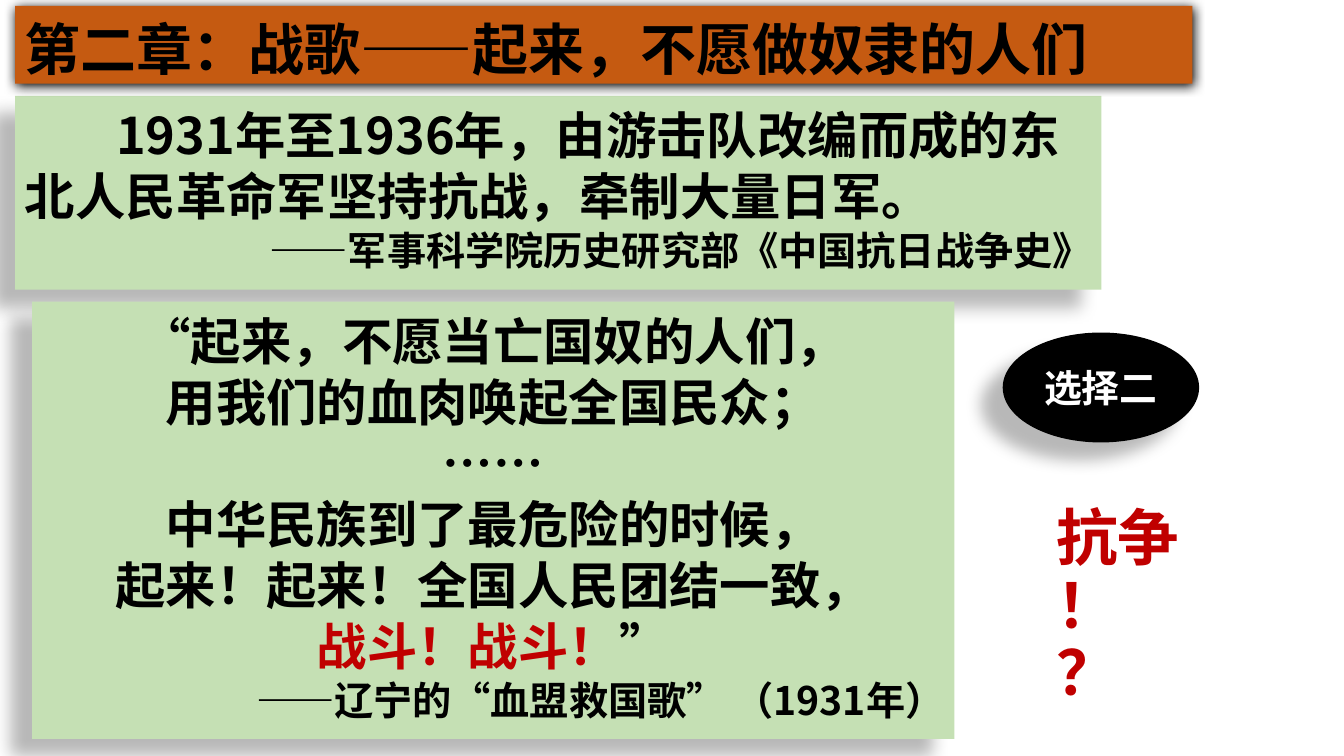
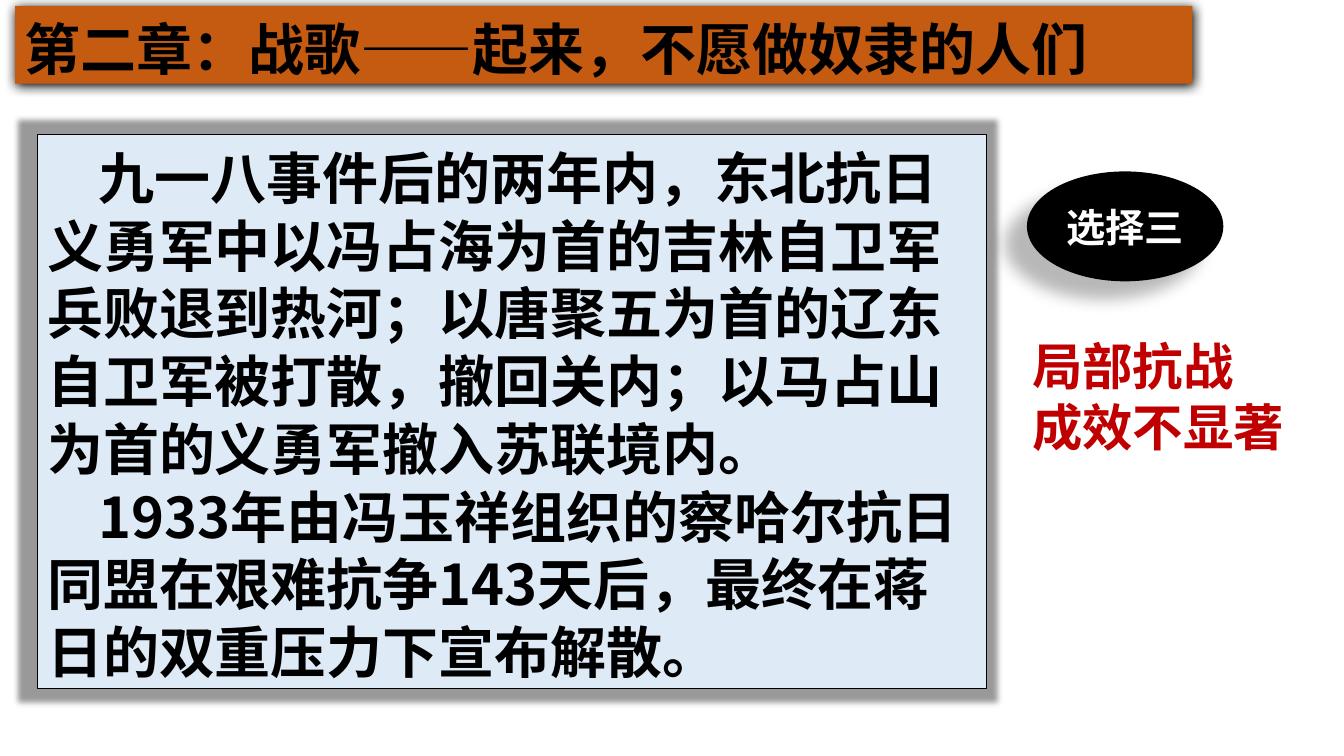
import pptx
import pptx.dml.color
import pptx.enum.shapes
import pptx.enum.text
import pptx.oxml
import pptx.oxml.ns
import pptx.util
from pptx.util import Cm

BLACK = pptx.dml.color.RGBColor(0x00, 0x00, 0x00)
WHITE = pptx.dml.color.RGBColor(0xFF, 0xFF, 0xFF)
RED = pptx.dml.color.RGBColor(0xC0, 0x00, 0x00)
ORANGE = pptx.dml.color.RGBColor(0xC5, 0x5A, 0x11)
GREEN = pptx.dml.color.RGBColor(0xC5, 0xE0, 0xB4)
PALE_BLUE = pptx.dml.color.RGBColor(0xDE, 0xEB, 0xF7)

FONT_SC = "Noto Sans CJK SC"
FONT_JP = "Noto Sans CJK JP"
RECTANGLE = pptx.enum.shapes.MSO_SHAPE.RECTANGLE
OVAL = pptx.enum.shapes.MSO_SHAPE.OVAL
CENTER = pptx.enum.text.PP_ALIGN.CENTER
RIGHT = pptx.enum.text.PP_ALIGN.RIGHT
TOP = pptx.enum.text.MSO_ANCHOR.TOP
MIDDLE = pptx.enum.text.MSO_ANCHOR.MIDDLE

# Blur and distance in points, direction in degrees, opacity and scales in percent
CAST_SHADOW = dict(blur=11.8, distance=19.7, direction=141, opacity=28)
TITLE_SHADOW = dict(blur=8.5, distance=1, direction=90, opacity=100)
FRAME_SHADOW = dict(blur=4, distance=3, direction=180, opacity=40,
                    scale_x=103, scale_y=105)


def add_panel(slide, left, top, width, height, kind=RECTANGLE, fill=None,
              line=None, shadow=None, anchor=TOP, wrap=True):
    """Add a shape, measured in centimetres, and return its text frame."""
    shape = slide.shapes.add_shape(kind, Cm(left), Cm(top), Cm(width), Cm(height))
    shape.shadow.inherit = False
    if fill is None:
        shape.fill.background()
    else:
        shape.fill.solid()
        shape.fill.fore_color.rgb = fill
    if line is None:
        shape.line.fill.background()
    else:
        shape.line.color.rgb = line
        shape.line.width = pptx.util.Pt(0.75)
    if shadow:
        effects = shape._element.spPr.find(pptx.oxml.ns.qn("a:effectLst"))
        effects.append(pptx.oxml.parse_xml(
            f'<a:outerShdw {pptx.oxml.ns.nsdecls("a")}'
            f' blurRad="{pptx.util.Pt(shadow["blur"])}"'
            f' dist="{pptx.util.Pt(shadow["distance"])}"'
            f' dir="{shadow["direction"] * 60000}"'
            f' sx="{shadow.get("scale_x", 100) * 1000}"'
            f' sy="{shadow.get("scale_y", 100) * 1000}"'
            f' algn="ctr" rotWithShape="0"><a:srgbClr val="{BLACK}">'
            f'<a:alpha val="{shadow["opacity"] * 1000}"/>'
            '</a:srgbClr></a:outerShdw>'))
    frame = shape.text_frame
    frame.word_wrap = wrap
    frame.vertical_anchor = anchor
    frame.margin_top = Cm(0.2 if anchor == TOP else 0.13)
    return frame


def add_text(frame, *texts, size=36, font=FONT_SC, colors=(BLACK,),
             align=pptx.enum.text.PP_ALIGN.LEFT, indent=0, leading=1.21):
    """Add one paragraph, with one run for each text and its color."""
    paragraph = frame.paragraphs[0]
    if paragraph.runs:
        paragraph = frame.add_paragraph()
    paragraph.alignment = align
    paragraph.line_spacing = pptx.util.Pt(round(size * leading, 1))
    if indent:
        paragraph._p.get_or_add_pPr().set("indent", str(Cm(indent)))
    for text, color in zip(texts, colors):
        run = paragraph.add_run()
        run.text = text
        run.font.size = pptx.util.Pt(size)
        run.font.bold = True
        run.font.color.rgb = color
        run.font.name = font
        properties = run.font._element
        properties.set("lang", "zh-CN")
        latin = properties.find(pptx.oxml.ns.qn("a:latin"))
        latin.addnext(pptx.oxml.parse_xml(
            f'<a:ea {pptx.oxml.ns.nsdecls("a")} typeface="{font}"/>'))


presentation = pptx.Presentation()
presentation.slide_width = Cm(33.87)
presentation.slide_height = Cm(19.05)
blank = presentation.slide_layouts[6]
resistance_slide = presentation.slides.add_slide(blank)
outcome_slide = presentation.slides.add_slide(blank)

# Slide 1: history, song and the second choice
history = add_panel(resistance_slide, 0.38, 2.42, 27.38, 4.88,
                    fill=GREEN, shadow=CAST_SHADOW)
add_text(history, "1931年至1936年，由游击队改编而成的东北人民革命军坚持抗战，牵制大量日军。",
         font=FONT_JP, indent=2.3)
add_text(history, "——军事科学院历史研究部《中国抗日战争史》",
         size=28, font=FONT_JP, align=RIGHT)

song = add_panel(resistance_slide, 0.81, 7.6, 23.24, 11.02,
                 fill=GREEN, shadow=CAST_SHADOW)
for verse in ("“起来，不愿当亡国奴的人们，", "用我们的血肉唤起全国民众；", "……",
              "中华民族到了最危险的时候，", "起来！起来！全国人民团结一致，"):
    add_text(song, verse, font=FONT_JP, align=CENTER)
add_text(song, "战斗！战斗！", "”", colors=(RED, BLACK), font=FONT_JP, align=CENTER)
add_text(song, "——辽宁的“血盟救国歌” （1931年）", size=28, font=FONT_JP, align=RIGHT)

struggle = add_panel(resistance_slide, 26.37, 12.55, 5.56, 5.33)
for word in ("抗争", "！", "？"):
    add_text(struggle, word, size=44, colors=(RED,), leading=1.09)

# Slide 2: outcome and the third choice
outcome = add_panel(outcome_slide, 0.94, 3.4, 23.93, 13.94,
                    fill=PALE_BLUE, line=BLACK, shadow=FRAME_SHADOW)
for text in ("九一八事件后的两年内，东北抗日义勇军中以冯占海为首的吉林自卫军兵败退到热河；"
             "以唐聚五为首的辽东自卫军被打散，撤回关内；以马占山为首的义勇军撤入苏联境内。",
             "1933年由冯玉祥组织的察哈尔抗日同盟在艰难抗争143天后，"
             "最终在蒋日的双重压力下宣布解散。"):
    add_text(outcome, text, size=40, font=FONT_JP, indent=1.3)

verdict = add_panel(outcome_slide, 25.76, 8.23, 7.19, 3.33)
for text in ("局部抗战", "成效不显著"):
    add_text(verdict, text, colors=(RED,))

# Choice badge and chapter title on both slides
for slide, choice, size, left, top in (
        (resistance_slide, "选择二", 27, 25.27, 8.38),
        (outcome_slide, "选择三", 28, 25.88, 4.32)):
    badge = add_panel(slide, left, top, 4.95, 2.77, kind=OVAL, fill=BLACK,
                      shadow=CAST_SHADOW, anchor=MIDDLE, wrap=False)
    add_text(badge, choice, size=size, colors=(WHITE,), align=CENTER)
    title = add_panel(slide, 0.38, 0.15, 29.67, 1.96, fill=ORANGE, shadow=TITLE_SHADOW)
    add_text(title, "第二章：战歌——起来，不愿做奴隶的人们", size=40)

presentation.save("out.pptx")
